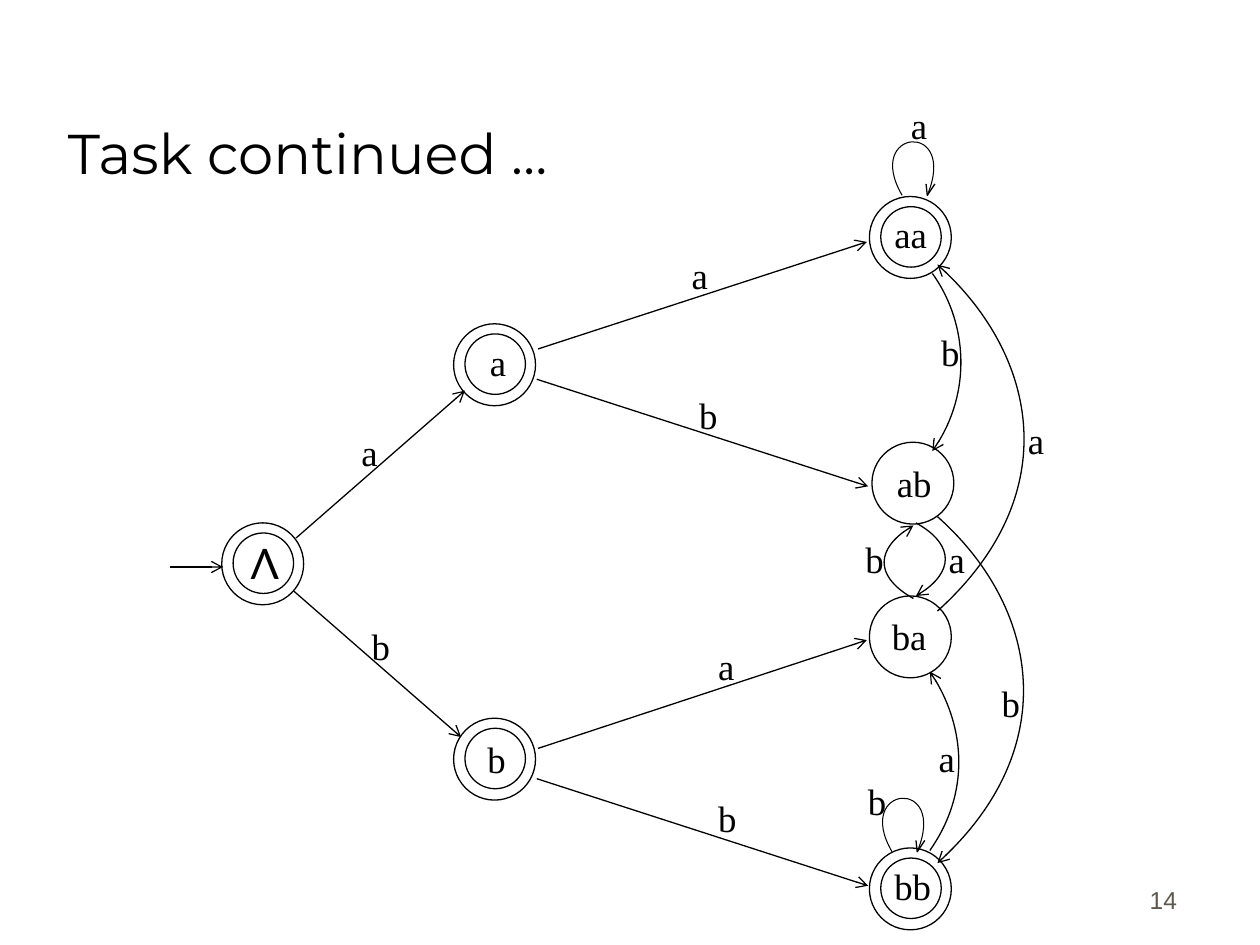
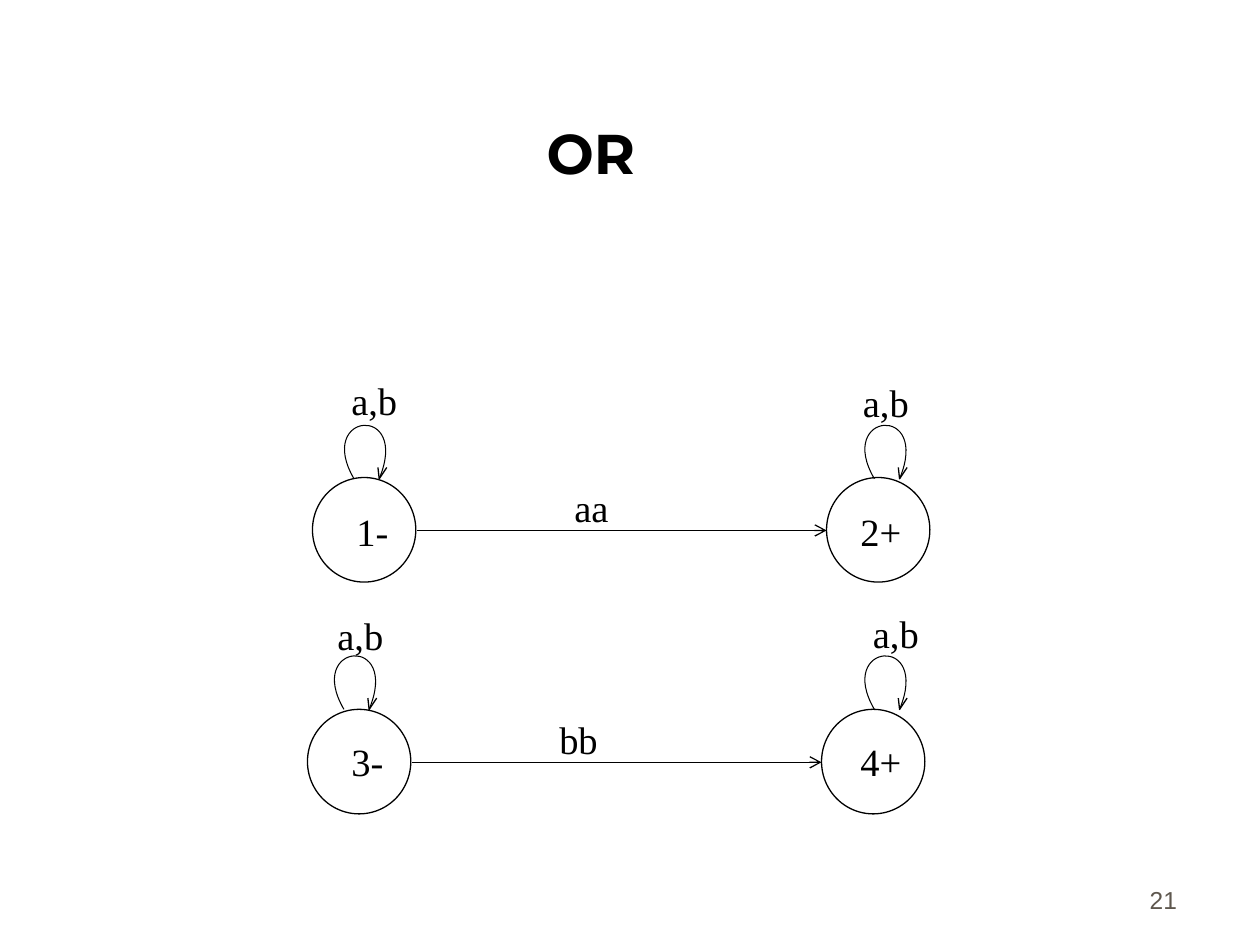
"""Build two slides of state diagrams: a suffix automaton and a pair of transition graphs."""
from pptx import Presentation
from pptx.dml.color import RGBColor
from pptx.enum import shapes, text
from pptx.oxml.xmlchemy import OxmlElement
from pptx.util import Pt

PX = 9144
BLACK = RGBColor(0x00, 0x00, 0x00)
WHITE = RGBColor(0xFF, 0xFF, 0xFF)
TAUPE = RGBColor(0x5E, 0x57, 0x4E)
SERIF = "Times New Roman"
LEFT, CENTER, RIGHT = text.PP_ALIGN.LEFT, text.PP_ALIGN.CENTER, text.PP_ALIGN.RIGHT
TOP, BOTTOM = text.MSO_ANCHOR.TOP, text.MSO_ANCHOR.BOTTOM


def write(page, words, left, top, width=98, height=68, size=21, font=SERIF,
          color=BLACK, align=LEFT, anchor=TOP, bold=False):
    box = page.shapes.add_textbox(left * PX, top * PX, width * PX, height * PX)
    frame = box.text_frame
    frame.word_wrap = True
    frame.vertical_anchor = anchor
    para = frame.paragraphs[0]
    para.alignment = align
    span = para.add_run()
    span.text = words
    span.font.name = font
    span.font.size = Pt(size)
    span.font.bold = bold
    span.font.color.rgb = color
    return frame


def stroke(page, points, weight=0.75, arrow=True):
    spots = [(x * PX, y * PX) for x, y in points]
    if len(spots) == 2:
        mark = page.shapes.add_connector(shapes.MSO_CONNECTOR.STRAIGHT, *spots[0], *spots[1])
    else:
        builder = page.shapes.build_freeform(*spots[0])
        builder.add_line_segments(spots[1:], close=False)
        mark = builder.convert_to_shape()
        mark.fill.background()
    if len(spots) == 4:
        segments = mark._element.xpath(".//a:lnTo")
        curve = OxmlElement("a:cubicBezTo")
        segments[0].addprevious(curve)
        for segment in segments:
            curve.append(segment[0])
            segment.getparent().remove(segment)
    mark.line.color.rgb = BLACK
    mark.line.width = Pt(weight)
    if arrow:
        tip = OxmlElement("a:tailEnd")
        tip.set("type", "arrow")
        mark.line._ln.append(tip)
    mark._element.spPr.append(OxmlElement("a:effectLst"))


deck = Presentation()
deck.slide_width, deck.slide_height = 1000 * PX, 750 * PX

RING, CORE = 65, 48
accepting = [(176, 415), (360, 570), (360, 257), (690, 156), (690, 673)]
plain = [(690, 473), (692, 351)]
suffix_circles = [(x, y, RING, RING) for x, y in accepting + plain]
suffix_circles += [(x + 9, y + 8, CORE, CORE) for x, y in accepting]

suffix_edges = [
    [(135, 450), (177, 450)],
    [(235, 427), (369, 310)],
    [(233, 469), (366, 585)],
    [(427, 277), (688, 192)],
    [(426, 301), (689, 386)],
    [(427, 594), (688, 508)],
    [(426, 618), (689, 703)],
    [(738, 675), (771, 628), (764, 570), (738, 533)],
    [(740, 217), (766, 253), (773, 312), (740, 358)],
    [(744, 410), (824, 481), (844, 595), (744, 685)],
    [(744, 485), (844, 395), (824, 281), (744, 210)],
    [(727, 415), (754, 430), (760, 454), (727, 473)],
    [(725, 475), (698, 460), (692, 436), (725, 417)],
]
suffix_labels = [
    ("a", 713, 77), ("a", 806, 327), ("b", 560, 627), ("a", 560, 506),
    ("a", 735, 579), ("b", 737, 257), ("a", 277, 336), ("a", 539, 196),
    ("b", 545, 307), ("b", 285, 490), ("b", 679, 613), ("b", 785, 535),
    ("a", 743, 421), ("b", 677, 421),
    ("ab", 702, 361), ("ba", 698, 482), ("b", 377, 580), ("a", 379, 265),
    ("bb", 700, 681), ("aa", 700, 163),
]

STATE_W, STATE_H, STEP = 82, 83, 408
rows = [(248, 379), (244, 563)]
pair_circles = [(x + shift, y, STATE_W, STATE_H) for x, y in rows for shift in (0, STEP)]
pair_edges = [[(x + 83, y + 42), (x + STEP, y + 42)] for x, y in rows]
pair_labels = [
    ("aa", 446, 379), ("a,b", 675, 296), ("a,b", 269, 294), ("2+", 673, 398), ("1-", 273, 398),
    ("bb", 434, 563), ("a,b", 683, 479), ("a,b", 258, 481), ("4+", 673, 581), ("3-", 269, 581),
]

slides = [
    ("Task continued …", LEFT, False, "14", 21, suffix_circles, suffix_edges,
     [(716, 155), (708, 676)], suffix_labels),
    ("OR", CENTER, True, "21", 22, pair_circles, pair_edges,
     [(281, 380), (694, 380), (273, 563), (694, 563)], pair_labels),
]

for title, align, bold, number, label_size, circles, edges, loops, labels in slides:
    page = deck.slides.add_slide(deck.slide_layouts[6])
    write(page, number, 736, 681, 208, 50, 14, "Arial", TAUPE, RIGHT, BOTTOM)
    heading = write(page, title, 44, 25, 850, 125, 32, "Montserrat", BLACK, align, BOTTOM, bold)
    heading.margin_bottom = 3 * PX

    for left, top, width, height in circles:
        circle = page.shapes.add_shape(
            shapes.MSO_SHAPE.OVAL, left * PX, top * PX, width * PX, height * PX)
        circle.shadow.inherit = False
        circle.fill.solid()
        circle.fill.fore_color.rgb = WHITE
        circle.line.color.rgb = BLACK
        circle.line.width = Pt(0.75)

    for edge in edges:
        stroke(page, edge)

    for x, y in loops:
        stroke(page, [(x, y), (x - 31, y - 53), (x + 45, y - 60), (x + 20, y)], 0.6, False)
        stroke(page, [(x + 19, y - 9), (x + 20, y), (x + 26, y - 9)], arrow=False)

    for words, left, top in labels:
        write(page, words, left, top, size=label_size)

start_label = write(deck.slides[0], "Λ", 189, 422, 40, 50, 24, "Lato", align=CENTER)
start_label.word_wrap = False

deck.save("out.pptx")
